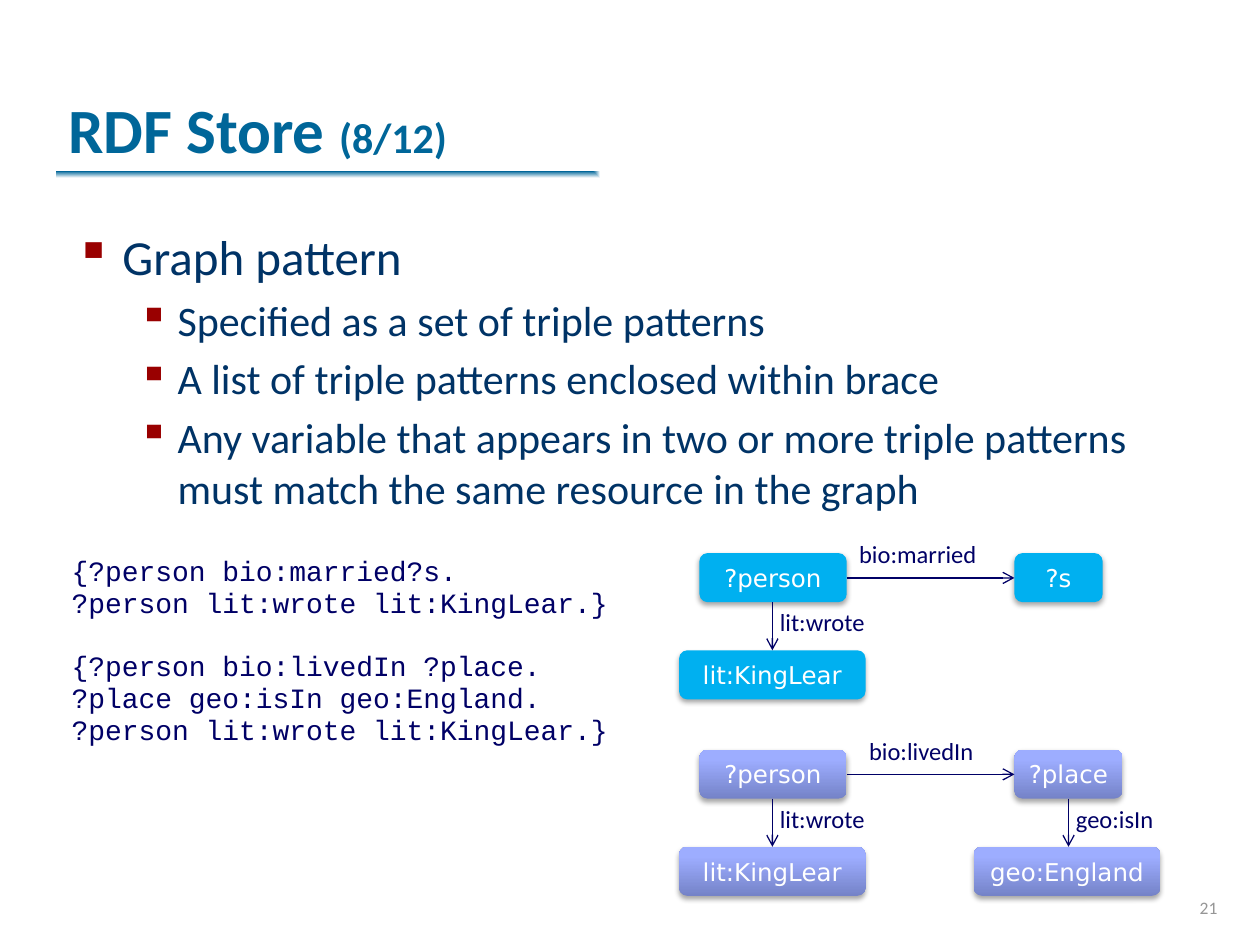
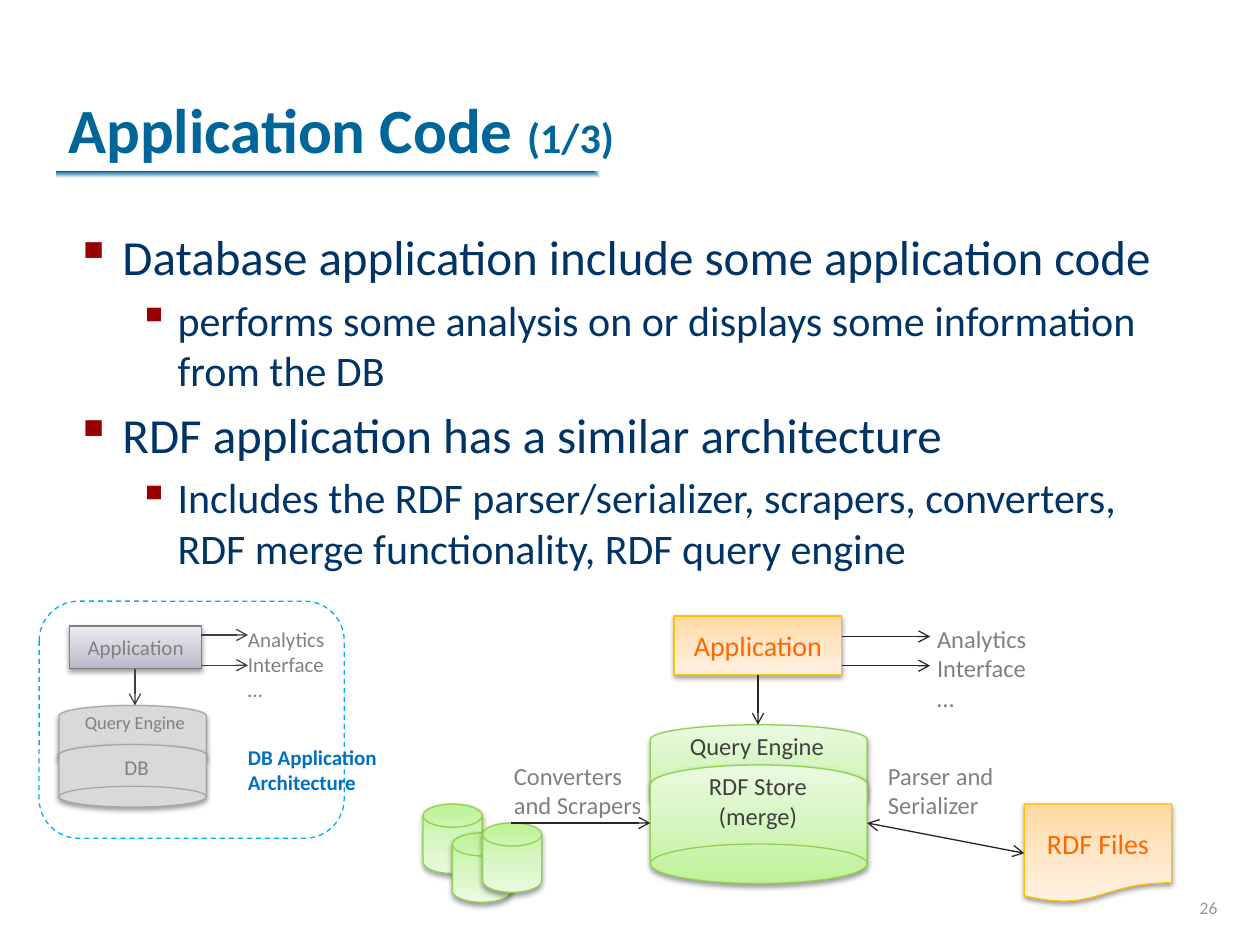
"""Builds two slides on RDF stores and RDF application code."""
import lxml.etree
import pptx
import pptx.dml.color
import pptx.enum.dml
import pptx.enum.shapes
import pptx.enum.text
import pptx.oxml.ns
import pptx.util

Cm = pptx.util.Cm
Pt = pptx.util.Pt
qn = pptx.oxml.ns.qn
SHAPE = pptx.enum.shapes.MSO_SHAPE
ALIGN = pptx.enum.text.PP_ALIGN
ANCHOR = pptx.enum.text.MSO_ANCHOR

COLORS = {
    "title": "006699", "body": "003366", "bullet": "990000", "navy": "000066",
    "white": "FFFFFF", "page": "969696", "cyan": "00B0F0", "black": "000000",
    "green": "92D050", "amber": "FFC000", "orange": "FF6600", "ink": "262626",
    "dark": "404040", "gray": "808080", "silver": "D9D9D9", "steel": "A6A6A6",
    "blue": "0070C0",
}
GRADIENTS = {
    "lilac": (270, [(0, "7583C8"), (80, "9DADFF"), (100, "9FAFFF")]),
    "leaf": (90, [(0, "BEF297"), (50, "D5F6C0"), (100, "EAFAE0")]),
    "peach": (90, [(0, "FFD8A0"), (50, "FFE6C5"), (100, "FFF2E3")]),
    "slate": (270, [(0, "B6B6CA"), (35, "CCCCD9"), (100, "ECECF1")]),
    "band": (None, [(0, COLORS["title"]), (100, COLORS["white"])]),
}


def add_xml(parent, tag, **attributes):
    return lxml.etree.SubElement(parent, qn(tag), {k: str(v) for k, v in attributes.items()})


def rgb(name):
    return pptx.dml.color.RGBColor.from_string(COLORS[name])


class Deck:
    """Holds the shared style and the current slide."""

    def __init__(self):
        self.presentation = pptx.Presentation()
        self.presentation.slide_width = Cm(25.4)
        self.presentation.slide_height = Cm(19.05)
        self.slide = None

    def start(self, heading, part, page):
        self.slide = self.presentation.slides.add_slide(self.presentation.slide_layouts[5])
        self.shape(SHAPE.RECTANGLE, (1.14, 3.45, 21.92, 0.28), "band", shadow=None)
        title = self.slide.shapes.title
        title.left, title.top, title.width, title.height = map(Cm, (1.12, 0.3, 21.59, 3.18))
        frame = title.text_frame
        frame.auto_size = pptx.enum.text.MSO_AUTO_SIZE.NONE
        frame.vertical_anchor = ANCHOR.BOTTOM
        frame.text = heading + " "
        frame.paragraphs[0].add_run().text = part
        self.style(frame, 36, "title", bold=True)
        frame.paragraphs[0].runs[1].font.size = Pt(24)
        self.text(page, (19.51, 17.37, 5.28, 1.27), 10, "page", ALIGN.RIGHT, anchor=ANCHOR.BOTTOM)

    def style(self, frame, size, color, align=ALIGN.LEFT, bold=False, font="Calibri"):
        for paragraph in frame.paragraphs:
            paragraph.alignment = align
            for run in paragraph.runs:
                run.font.name = font
                run.font.size = Pt(size)
                run.font.bold = bold
                run.font.color.rgb = rgb(color)

    def text(self, words, box, size, color, align=ALIGN.LEFT, bold=False, anchor=ANCHOR.TOP):
        frame = self.slide.shapes.add_textbox(*map(Cm, box)).text_frame
        frame.word_wrap = True
        frame.vertical_anchor = anchor
        frame.text = words
        self.style(frame, size, color, align, bold)

    def bullets(self, items):
        frame = self.slide.shapes.add_textbox(*map(Cm, (1.27, 4.45, 22.71, 12.4))).text_frame
        frame.word_wrap = True
        frame.text = "\n".join(words for level, words in items)
        for index, (level, words) in enumerate(items):
            paragraph = frame.paragraphs[index]
            size, margin, hang = ((28, 0.95, 0.95), (24, 2.06, 0.79))[level]
            paragraph.level = level
            if index:
                paragraph.space_before = Pt(size * 0.2)
            properties = paragraph._p.get_or_add_pPr()
            properties.set("marL", str(Cm(margin)))
            properties.set("indent", str(-Cm(hang)))
            add_xml(add_xml(properties, "a:buClr"), "a:srgbClr", val=COLORS["bullet"])
            add_xml(properties, "a:buChar", char="▪")
            paragraph.alignment = ALIGN.LEFT
            for run in paragraph.runs:
                run.font.name = "Calibri"
                run.font.size = Pt(size)
                run.font.color.rgb = rgb("body")

    def code(self, patterns, box):
        table = self.slide.shapes.add_table(1, 1, *map(Cm, box)).table
        table.first_row = table.horz_banding = False
        cell = table.cell(0, 0)
        cell.fill.background()
        frame = cell.text_frame
        frame.text = "\n".join(patterns)
        self.style(frame, 16, "navy", font="Courier New")
        for paragraph in frame.paragraphs[1:]:
            if paragraph.text.startswith("{"):
                paragraph.space_before = Pt(18)

    def gradient(self, shape, name):
        angle, stops = GRADIENTS[name]
        shape.fill.background()
        empty = shape._element.spPr.find(qn("a:noFill"))
        fill = lxml.etree.Element(qn("a:gradFill"), rotWithShape="1")
        stop_list = add_xml(fill, "a:gsLst")
        for position, color in stops:
            add_xml(add_xml(stop_list, "a:gs", pos=position * 1000), "a:srgbClr", val=color)
        if angle is None:
            add_xml(add_xml(fill, "a:path", path="rect"), "a:fillToRect", r=100000, b=100000)
        else:
            add_xml(fill, "a:lin", ang=angle * 60000, scaled=0)
        empty.getparent().replace(empty, fill)

    def shape(self, kind, box, fill=None, line=None, shadow=(38, 1.6), words="",
              size=14, color="white", font="Calibri", rotation=0, dash=False):
        shape = self.slide.shapes.add_shape(kind, *map(Cm, box))
        shape.rotation = rotation
        shape.shadow.inherit = False
        if fill in GRADIENTS:
            self.gradient(shape, fill)
        elif fill:
            shape.fill.solid()
            shape.fill.fore_color.rgb = rgb(fill)
        else:
            shape.fill.background()
        if line:
            shape.line.color.rgb = rgb(line)
            shape.line.width = Pt(0.75)
            if dash:
                shape.line.dash_style = pptx.enum.dml.MSO_LINE.DASH
        else:
            shape.line.fill.background()
        if shadow:
            opacity, distance = shadow
            effects = shape._element.spPr.find(qn("a:effectLst"))
            outer = add_xml(effects, "a:outerShdw", blurRad=Pt(3.1), dist=Pt(distance),
                            dir=90 * 60000, rotWithShape=0)
            tint = add_xml(outer, "a:srgbClr", val=COLORS["black"])
            add_xml(tint, "a:alpha", val=opacity * 1000)
        if words:
            frame = shape.text_frame
            frame.word_wrap = False
            frame.vertical_anchor = ANCHOR.MIDDLE
            frame.text = words
            self.style(frame, size, color, ALIGN.CENTER, font=font)

    def node(self, words, left, top, width, fill):
        self.shape(SHAPE.ROUNDED_RECTANGLE, (left, top, width, 0.99), fill,
                   shadow=(35, 1.8), words=words, font="DejaVu Sans")

    def disk(self, box, fill, line, rotation=0):
        self.shape(SHAPE.FLOWCHART_MAGNETIC_DISK, box, fill, line, rotation=rotation)

    def arrow(self, start, end, color, both=False):
        straight = pptx.enum.shapes.MSO_CONNECTOR.STRAIGHT
        connector = self.slide.shapes.add_connector(straight, *map(Cm, start + end))
        connector.line.color.rgb = rgb(color)
        connector.line.width = Pt(0.75)
        properties = connector._element.spPr
        line = properties.find(qn("a:ln"))
        if both:
            add_xml(line, "a:headEnd", type="arrow")
        add_xml(line, "a:tailEnd", type="arrow")
        add_xml(properties, "a:effectLst")

    def down_relation(self, words, x, top):
        self.arrow((x, top + 0.99), (x, top + 1.96), "navy")
        self.text(words, (x - 0.1, top + 0.97, 3.18, 0.86), 14, "navy")

    def graph(self, top, fill, relation, relation_left, target, target_width):
        self.node(target, 20.45, top, target_width, fill)
        self.node("?person", 14.1, top, 2.97, fill)
        self.node("lit:KingLear", 13.69, top + 1.96, 3.76, fill)
        self.arrow((17.07, top + 0.5), (20.45, top + 0.5), "navy")
        self.text(relation, (relation_left, top - 0.4, 3.38, 0.86), 14, "navy")
        self.down_relation("lit:wrote", 15.57, top)


def build_rdf_store(deck):
    deck.start("RDF Store", "(8/12)", "21")
    deck.bullets([
        (0, "Graph pattern"),
        (1, "Specified as a set of triple patterns"),
        (1, "A list of triple patterns enclosed within brace"),
        (1, "Any variable that appears in two or more triple patterns must match "
            "the same resource in the graph"),
    ])
    deck.code([
        "{?person bio:married?s.",
        "?person lit:wrote lit:KingLear.}",
        "{?person bio:livedIn ?place.",
        "?place geo:isIn geo:England.",
        "?person lit:wrote lit:KingLear.}",
    ], (1.19, 11.13, 11.51, 4.32))
    deck.graph(11.15, "cyan", "bio:married", 17.07, "?s", 1.78)
    deck.graph(15.11, "lilac", "bio:livedIn", 17.27, "?place", 2.18)
    deck.node("geo:England", 19.63, 17.07, 3.76, "lilac")
    deck.down_relation("geo:isIn", 21.54, 15.11)


def build_rdf_architecture(deck):
    for top, height in ((14.61, 1.78), (15.42, 2.39)):
        deck.disk((13.11, top, 4.37, height), "leaf", "green", 180)
    deck.shape(SHAPE.RECTANGLE, (13.59, 12.42, 3.38, 1.19), "peach", "amber",
               words="Application", size=16, color="orange")
    for left, top in ((8.53, 16.21), (9.12, 16.79), (9.73, 16.59)):
        deck.disk((left, top, 1.19, 1.4), "leaf", "green")
    deck.shape(SHAPE.FLOWCHART_DOCUMENT, (20.65, 16.21, 2.97, 1.98), "peach", "amber",
               words="RDF Files", size=16, color="orange")
    deck.arrow((15.28, 13.61), (15.28, 14.61), "ink")
    deck.arrow((10.31, 16.59), (13.11, 16.59), "ink")
    deck.arrow((17.48, 16.59), (20.65, 17.2), "ink", both=True)
    for y in (12.83, 13.42):
        deck.arrow((16.97, y), (18.75, y), "ink")
    deck.text("Analytics\nInterface\n…", (18.64, 12.45, 2.97, 2.06), 14, "gray")
    deck.text("Converters\nand Scrapers", (10.11, 15.21, 3.58, 1.45), 14, "gray")
    deck.text("Parser and\nSerializer", (17.65, 15.21, 3.58, 1.45), 14, "gray")
    deck.text("RDF Store\n(merge)", (13.49, 15.42, 3.58, 1.45), 14, "dark", ALIGN.CENTER)
    deck.text("Query Engine", (13.28, 14.61, 3.96, 0.86), 14, "dark", ALIGN.CENTER)


def build_db_architecture(deck):
    for top in (14.22, 15.01):
        deck.disk((1.19, top, 2.97, 1.26), "silver", "steel", 180)
    deck.shape(SHAPE.RECTANGLE, (1.4, 12.62, 2.67, 0.86), "slate", "gray",
               words="Application", size=12, color="gray")
    deck.arrow((2.72, 13.49), (2.72, 14.22), "dark")
    for y in (12.8, 13.41):
        deck.arrow((4.06, y), (5, y), "dark")
    deck.text("Analytics\nInterface\n…", (4.75, 12.5, 2.39, 1.8), 12, "gray")
    deck.text("DB", (1.93, 15.09, 1.65, 0.76), 12, "gray", ALIGN.CENTER)
    deck.text("Query Engine", (1.4, 14.22, 2.64, 0.71), 10.5, "gray", ALIGN.CENTER)
    deck.shape(SHAPE.ROUNDED_RECTANGLE, (0.79, 12.12, 6.15, 4.78), line="cyan",
               shadow=None, dash=True)
    deck.text("DB Application\nArchitecture", (4.75, 14.88, 3.38, 1.27), 12, "blue", bold=True)


def build_application_code(deck):
    deck.start("Application Code", "(1/3)", "26")
    deck.bullets([
        (0, "Database application include some application code"),
        (1, "performs some analysis on or displays some information from the DB"),
        (0, "RDF application has a similar architecture"),
        (1, "Includes the RDF parser/serializer, scrapers, converters, "
            "RDF merge functionality, RDF query engine"),
    ])
    build_rdf_architecture(deck)
    build_db_architecture(deck)


def main():
    deck = Deck()
    build_rdf_store(deck)
    build_application_code(deck)
    deck.presentation.save("out.pptx")


if __name__ == "__main__":
    main()
